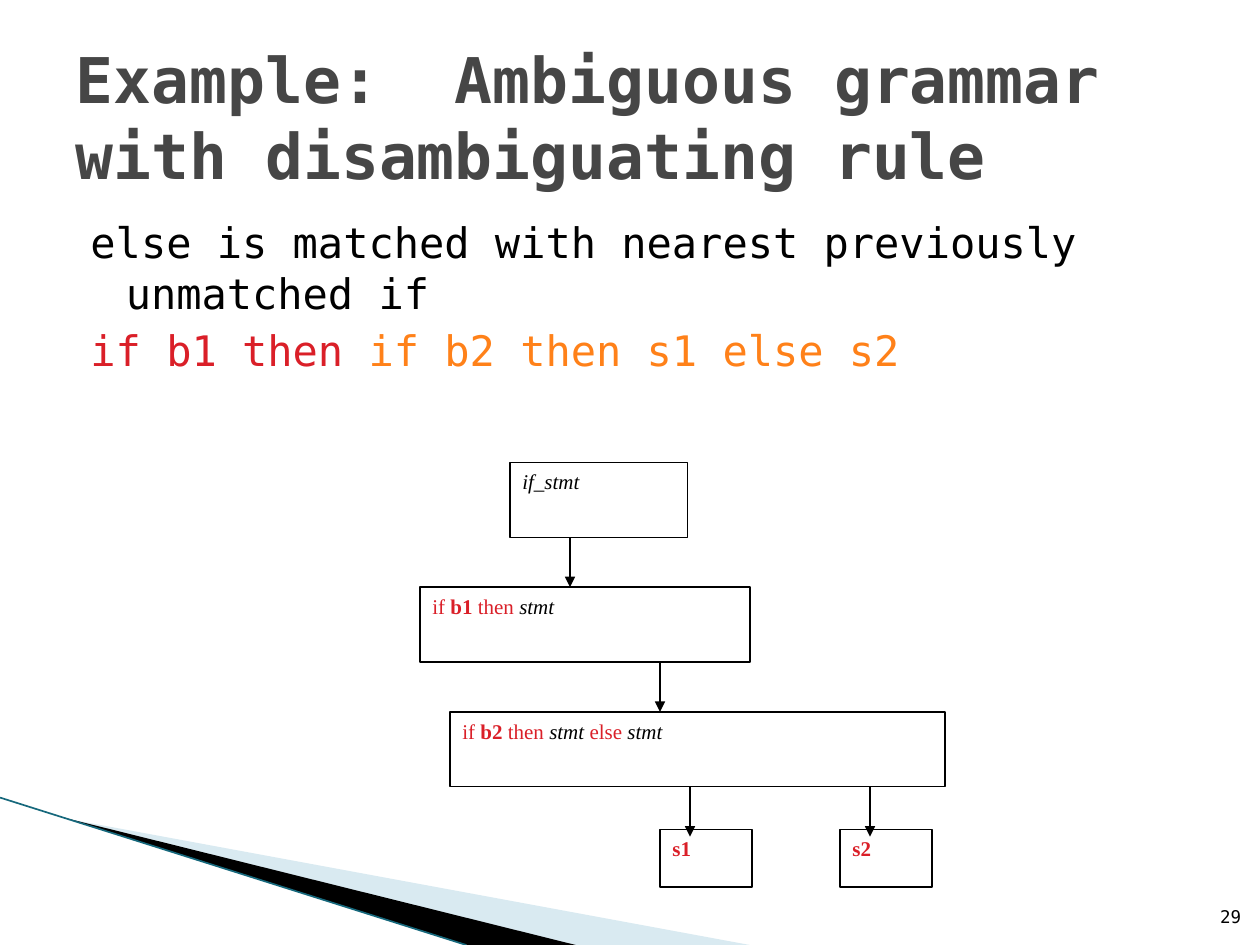
from dataclasses import dataclass

from lxml import etree
from pptx import Presentation
from pptx.dml.color import RGBColor
from pptx.enum import shapes, text
from pptx.oxml.ns import qn
from pptx.util import Emu, Inches, Pt

BLACK = RGBColor(0x00, 0x00, 0x00)
WHITE = RGBColor(0xFF, 0xFF, 0xFF)
GREY = RGBColor(0x46, 0x46, 0x46)
RED = RGBColor(0xDA, 0x1F, 0x28)
ORANGE = RGBColor(0xFF, 0x81, 0x19)
PALE_BLUE = RGBColor(0xD9, 0xEA, 0xF1)
TEAL = RGBColor(0x16, 0x68, 0x7C)

MONO = "DejaVu Sans Mono"
SERIF = "Times New Roman"

WIDTH, HEIGHT = Inches(10), Inches(7.5)
COLUMN = WIDTH / 42
ROW = Inches(0.198)
TREE_TOP = Inches(3.67)


@dataclass(frozen=True)
class Run:
    words: str
    color: RGBColor = BLACK
    bold: bool = False
    italic: bool = False


@dataclass(frozen=True)
class Node:
    """A tree box, in grid columns and rows."""
    column: float
    row: float
    columns: float
    rows: float
    runs: tuple[Run, ...]


@dataclass(frozen=True)
class Arrow:
    """A downward arrow, two rows long."""
    column: float
    row: float


STMT = Run("stmt", italic=True)
NODES = (
    Node(17, 0, 5.92, 3, (Run("if_stmt", italic=True),)),
    Node(14, 5, 11, 3, (Run("if ", RED), Run("b1", RED, True), Run(" then ", RED), STMT)),
    Node(15, 10, 16.5, 3, (Run("if ", RED), Run("b2", RED, True), Run(" then ", RED),
                           Run("stmt ", italic=True), Run("else ", RED), STMT)),
    Node(22, 14.7, 3.07, 2.32, (Run("s1", RED, True),)),
    Node(28, 14.7, 3.07, 2.32, (Run("s2", RED, True),)),
)
ARROWS = (Arrow(19, 3), Arrow(22, 8), Arrow(23, 13), Arrow(29, 13))
BODY = (
    (Run("else is matched with nearest previously unmatched if"),),
    (Run("if b1 then ", RED), Run("if b2 then s1 else s2", ORANGE)),
)
WEDGES = (
    (PALE_BLUE, ((0.055, 0.867), (0.595, 1), (0.456, 1))),
    (BLACK, ((0.053, 0.866), (0.457, 1), (0.371, 1))),
)


def grid_x(column: float) -> Emu:
    return Emu(round(column * COLUMN))


def grid_y(row: float) -> Emu:
    return Emu(round(TREE_TOP + row * ROW))


def share(x: float, y: float) -> tuple[Emu, Emu]:
    """Turn shares of the slide's size into lengths."""
    return Emu(round(x * WIDTH)), Emu(round(y * HEIGHT))


def write_runs(paragraph, runs: tuple[Run, ...], font: str, size: float) -> None:
    for item in runs:
        run = paragraph.add_run()
        run.text = item.words
        formats = {"name": font, "size": Pt(size), "bold": item.bold, "italic": item.italic}
        for name, value in formats.items():
            setattr(run.font, name, value)
        run.font.color.rgb = item.color


def add_line(slide, start: tuple, end: tuple, color: RGBColor, width: float):
    line = slide.shapes.add_connector(shapes.MSO_CONNECTOR.STRAIGHT, *start, *end)
    line.line.color.rgb = color
    line.line.width = Pt(width)
    etree.SubElement(line._element.spPr, qn("a:effectLst"))
    return line


def add_arrow(slide, arrow: Arrow) -> None:
    x = grid_x(arrow.column)
    line = add_line(slide, (x, grid_y(arrow.row)), (x, grid_y(arrow.row + 2)), BLACK, 0.75)
    etree.SubElement(line.line._get_or_add_ln(), qn("a:tailEnd"), type="triangle")


def add_node(slide, node: Node) -> None:
    shape = slide.shapes.add_shape(
        shapes.MSO_SHAPE.RECTANGLE, grid_x(node.column), grid_y(node.row),
        grid_x(node.columns), Emu(round(node.rows * ROW)))
    shape.shadow.inherit = False
    shape.fill.solid()
    shape.fill.fore_color.rgb = WHITE
    shape.line.color.rgb = BLACK
    shape.line.width = Pt(0.75)
    shape.text_frame.vertical_anchor = text.MSO_ANCHOR.TOP
    paragraph = shape.text_frame.paragraphs[0]
    paragraph.alignment = text.PP_ALIGN.LEFT
    write_runs(paragraph, node.runs, SERIF, 12)


def add_wedge(slide, color: RGBColor, corners: tuple) -> None:
    points = [share(*corner) for corner in corners]
    builder = slide.shapes.build_freeform(*points[0])
    builder.add_line_segments(points[1:], close=True)
    wedge = builder.convert_to_shape()
    wedge.shadow.inherit = False
    wedge.fill.solid()
    wedge.fill.fore_color.rgb = color
    wedge.line.fill.background()


def add_title(slide) -> None:
    title = slide.shapes.title
    title.left, title.top = share(0.05, 0.04)
    title.width, title.height = share(0.9, 1 / 6)
    title.text_frame.vertical_anchor = text.MSO_ANCHOR.MIDDLE
    title.text_frame.auto_size = text.MSO_AUTO_SIZE.NONE
    paragraph = title.text_frame.paragraphs[0]
    paragraph.alignment = text.PP_ALIGN.LEFT
    heading = Run("Example:  Ambiguous grammar with disambiguating rule", GREY, bold=True)
    write_runs(paragraph, (heading,), MONO, 36)


def add_body(slide) -> None:
    frame = slide.shapes.add_textbox(*share(0.05, 0.223), *share(0.9, 0.66)).text_frame
    frame.word_wrap = True
    for index, runs in enumerate(BODY):
        paragraph = frame.add_paragraph() if index else frame.paragraphs[0]
        paragraph.space_before = Pt(4)
        properties = paragraph._p.get_or_add_pPr()
        properties.set("marL", str(Inches(0.4)))
        properties.set("indent", str(Inches(-0.28)))
        write_runs(paragraph, runs, MONO, 24)


def add_slide_number(slide) -> None:
    frame = slide.shapes.add_textbox(*share(0.883, 0.935), *share(0.102, 0.053)).text_frame
    frame.word_wrap = True
    frame.margin_right = 0
    frame.vertical_anchor = text.MSO_ANCHOR.BOTTOM
    paragraph = frame.paragraphs[0]
    paragraph.alignment = text.PP_ALIGN.RIGHT
    write_runs(paragraph, (Run("29"),), MONO, 10)


def main() -> None:
    presentation = Presentation()
    presentation.slide_width, presentation.slide_height = WIDTH, HEIGHT
    slide = presentation.slides.add_slide(presentation.slide_layouts.get_by_name("Title Only"))
    for color, corners in WEDGES:
        add_wedge(slide, color, corners)
    add_line(slide, share(0, 0.844), share(0.37, 1), TEAL, 0.95)
    add_body(slide)
    add_slide_number(slide)
    add_title(slide)
    for node in NODES:
        add_node(slide, node)
    for arrow in ARROWS:
        add_arrow(slide, arrow)
    presentation.save("out.pptx")


if __name__ == "__main__":
    main()
